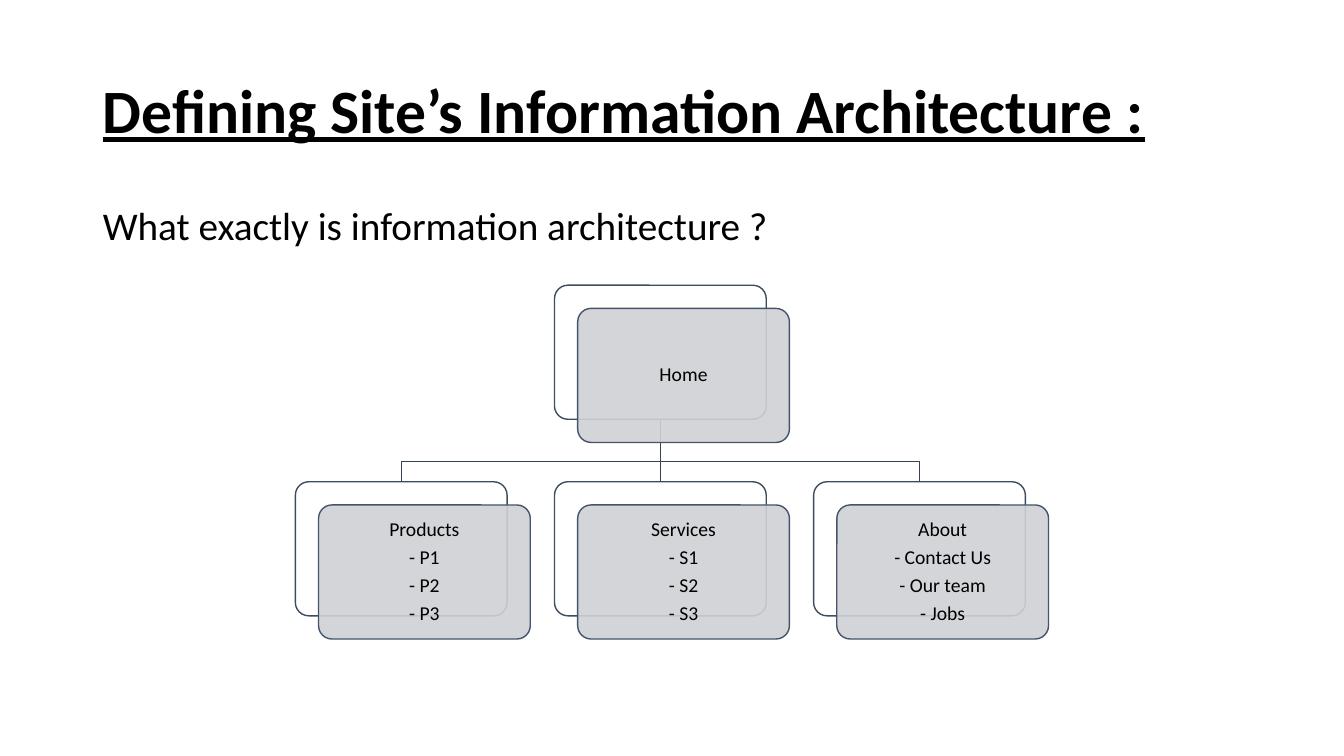
import pptx
import pptx.util
import pptx.dml.color
import pptx.enum.shapes
import pptx.enum.text
import pptx.oxml.ns
from lxml import etree

Inches, Pt = pptx.util.Inches, pptx.util.Pt
PP_ALIGN, ANCHOR = pptx.enum.text.PP_ALIGN, pptx.enum.text.MSO_ANCHOR
qn = pptx.oxml.ns.qn

TITLE = "Defining Site’s Information Architecture :"
QUESTION = "What exactly is information architecture ?"
HOME = ["Home"]
SECTIONS = [
    ["Products", "- P1", "- P2", "- P3"],
    ["Services", "- S1", "- S2", "- S3"],
    ["About", "- Contact Us", "- Our team", "- Jobs"],
]

COLORS = {
    "text": "000000",
    "back": "FFFFFF",
    "back_line": "3E4C60",
    "front": "CFD1D4",
    "front_line": "44546A",
    "branch": "364355",
}
FONT = "Calibri"
CARD_WIDTH, CARD_HEIGHT = 2.1, 1.33
CARD_OFFSET = 0.23
FIRST_LEFT, COLUMN_PITCH = 2.93, 2.57
HOME_TOP, SECTION_TOP = 2.83, 4.78
BRANCH_TOP, BRANCH_BEND = HOME_TOP + CARD_HEIGHT, 4.58


def color(name):
    return pptx.dml.color.RGBColor.from_string(COLORS[name])


def add_text(paragraph, text, size, alignment):
    paragraph.alignment = alignment
    paragraph.line_spacing = 0.9
    run = paragraph.add_run()
    run.text = text
    run.font.name = FONT
    run.font.size = Pt(size)
    run.font.color.rgb = color("text")
    return run


def fill_placeholder(placeholder, box, text, size):
    placeholder.left, placeholder.top, placeholder.width, placeholder.height = map(Inches, box)
    return add_text(placeholder.text_frame.paragraphs[0], text, size, PP_ALIGN.LEFT)


def set_line(shape, name):
    shape.line.color.rgb = color(name)
    shape.line.width = Pt(1)


def add_card(shapes, left, top, layer):
    card = shapes.add_shape(
        pptx.enum.shapes.MSO_SHAPE.ROUNDED_RECTANGLE,
        Inches(left), Inches(top), Inches(CARD_WIDTH), Inches(CARD_HEIGHT))
    card.adjustments[0] = 0.1
    card.shadow.inherit = False
    card.fill.solid()
    card.fill.fore_color.rgb = color(layer)
    set_line(card, layer + "_line")
    return card


def add_node(shapes, left, top, lines):
    """Draw a back card with a translucent text card over it; return the back card."""
    back = add_card(shapes, left, top, "back")
    front = add_card(shapes, left + CARD_OFFSET, top + CARD_OFFSET, "front")
    tint = front.fill._xPr.find(qn("a:solidFill"))[0]
    etree.SubElement(tint, qn("a:alpha")).set("val", "90000")
    frame = front.text_frame
    frame.word_wrap = True
    frame.vertical_anchor = ANCHOR.MIDDLE
    frame.margin_left = frame.margin_right = Inches(0.06)
    frame.margin_top = frame.margin_bottom = Inches(0.06)
    for index, line in enumerate(lines):
        paragraph = frame.add_paragraph() if index else frame.paragraphs[0]
        paragraph.space_after = Pt(4.9)
        add_text(paragraph, line, 14, PP_ALIGN.CENTER)
    return back


def add_elbow(shapes, start_x, end_x):
    builder = shapes.build_freeform(Inches(start_x), Inches(BRANCH_TOP))
    corners = [(start_x, BRANCH_BEND), (end_x, BRANCH_BEND), (end_x, SECTION_TOP)]
    builder.add_line_segments([(Inches(x), Inches(y)) for x, y in corners], close=False)
    elbow = builder.convert_to_shape()
    elbow.shadow.inherit = False
    elbow.fill.background()
    set_line(elbow, "branch")


def add_trunk(shapes, x):
    trunk = shapes.add_connector(
        pptx.enum.shapes.MSO_CONNECTOR.STRAIGHT,
        Inches(x), Inches(BRANCH_TOP), Inches(x), Inches(SECTION_TOP))
    set_line(trunk, "branch")
    etree.SubElement(trunk._element.spPr, qn("a:effectLst"))
    return trunk


def main():
    presentation = pptx.Presentation()
    presentation.slide_width, presentation.slide_height = Inches(13.33), Inches(7.5)
    slide = presentation.slides.add_slide(presentation.slide_layouts[1])
    shapes = slide.shapes

    title = shapes.title
    title_run = fill_placeholder(title, (0.92, 0.4, 11.5, 1.45), TITLE, 44)
    title_run.font.bold = title_run.font.underline = True
    title.text_frame.vertical_anchor = ANCHOR.MIDDLE

    body = slide.placeholders[1]
    fill_placeholder(body, (0.92, 2, 11.5, 4.76), QUESTION, 28)
    paragraph = body.text_frame.paragraphs[0]
    paragraph.space_before = Pt(10)
    properties = paragraph._p.get_or_add_pPr()
    properties.set("marL", "0")
    properties.set("indent", "0")
    etree.SubElement(properties, qn("a:buNone"))

    lefts = [FIRST_LEFT + COLUMN_PITCH * column for column in range(len(SECTIONS))]
    centers = [left + CARD_WIDTH / 2 for left in lefts]
    middle = len(SECTIONS) // 2

    # Branches go first so that the cards lie over them
    add_elbow(shapes, centers[middle], centers[-1])
    trunk = add_trunk(shapes, centers[middle])
    add_elbow(shapes, centers[middle], centers[0])

    home = add_node(shapes, lefts[middle], HOME_TOP, HOME)
    sections = [add_node(shapes, left, SECTION_TOP, lines)
                for left, lines in zip(lefts, SECTIONS)]
    trunk.begin_connect(home, 2)
    trunk.end_connect(sections[middle], 0)

    presentation.save("out.pptx")


if __name__ == "__main__":
    main()
